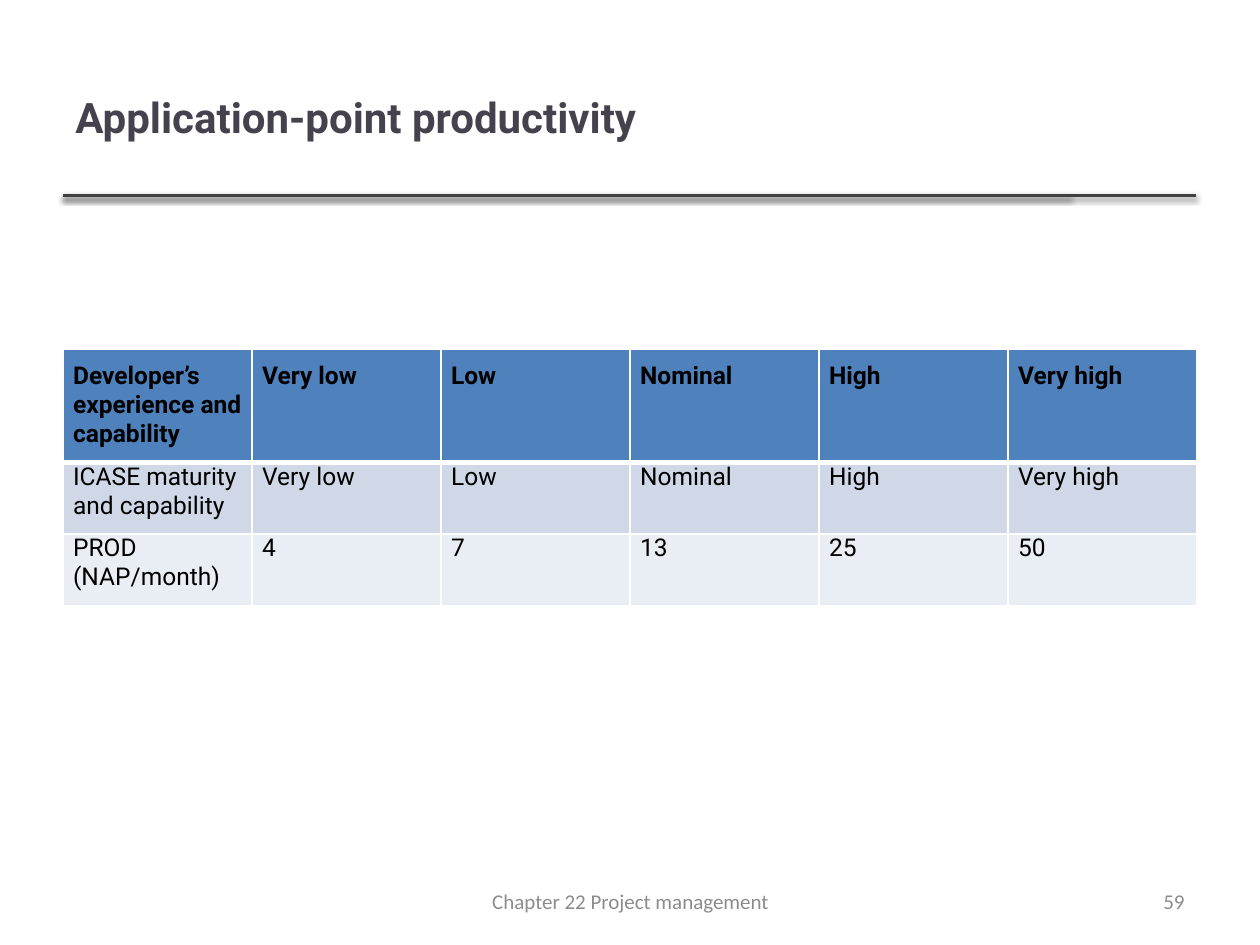
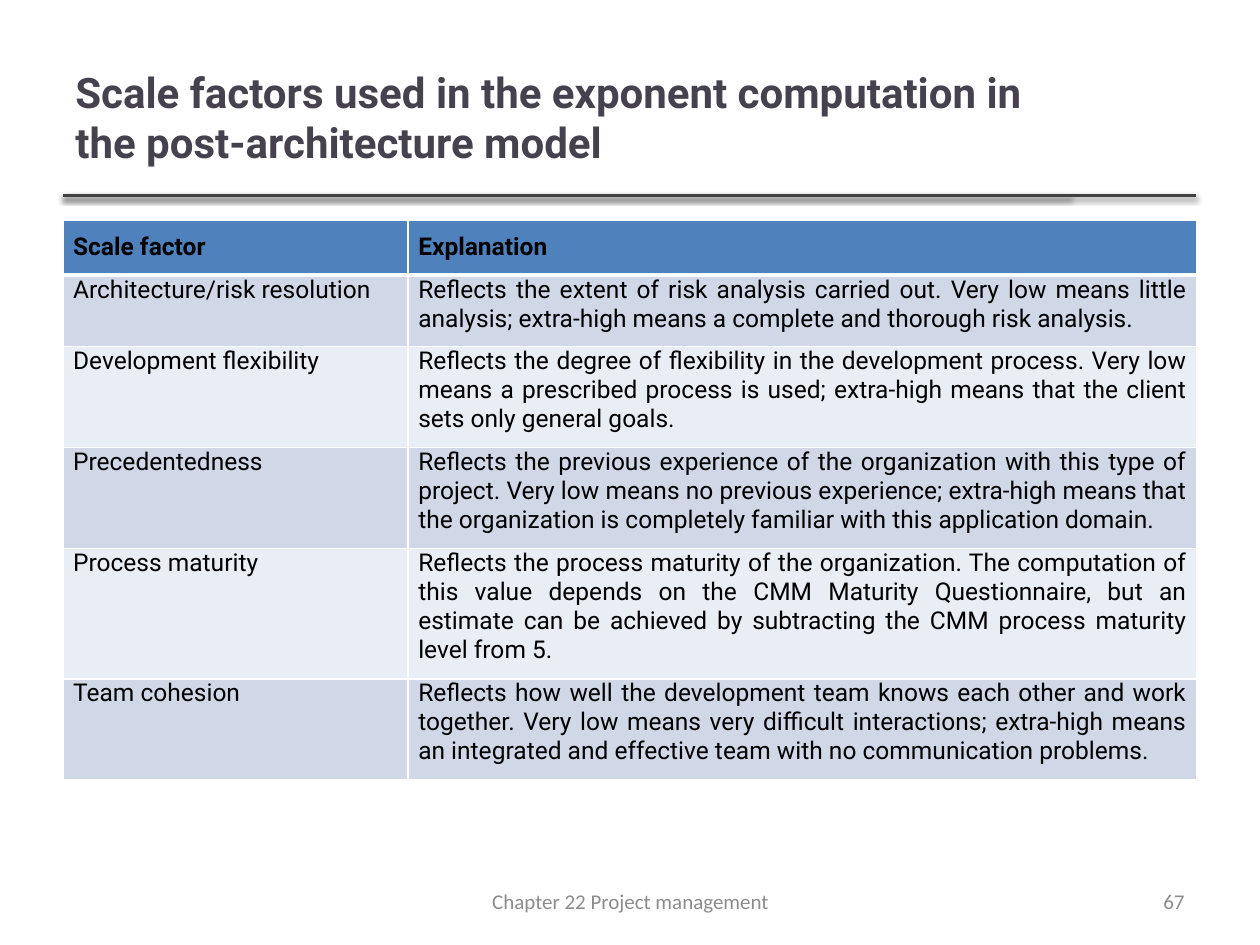
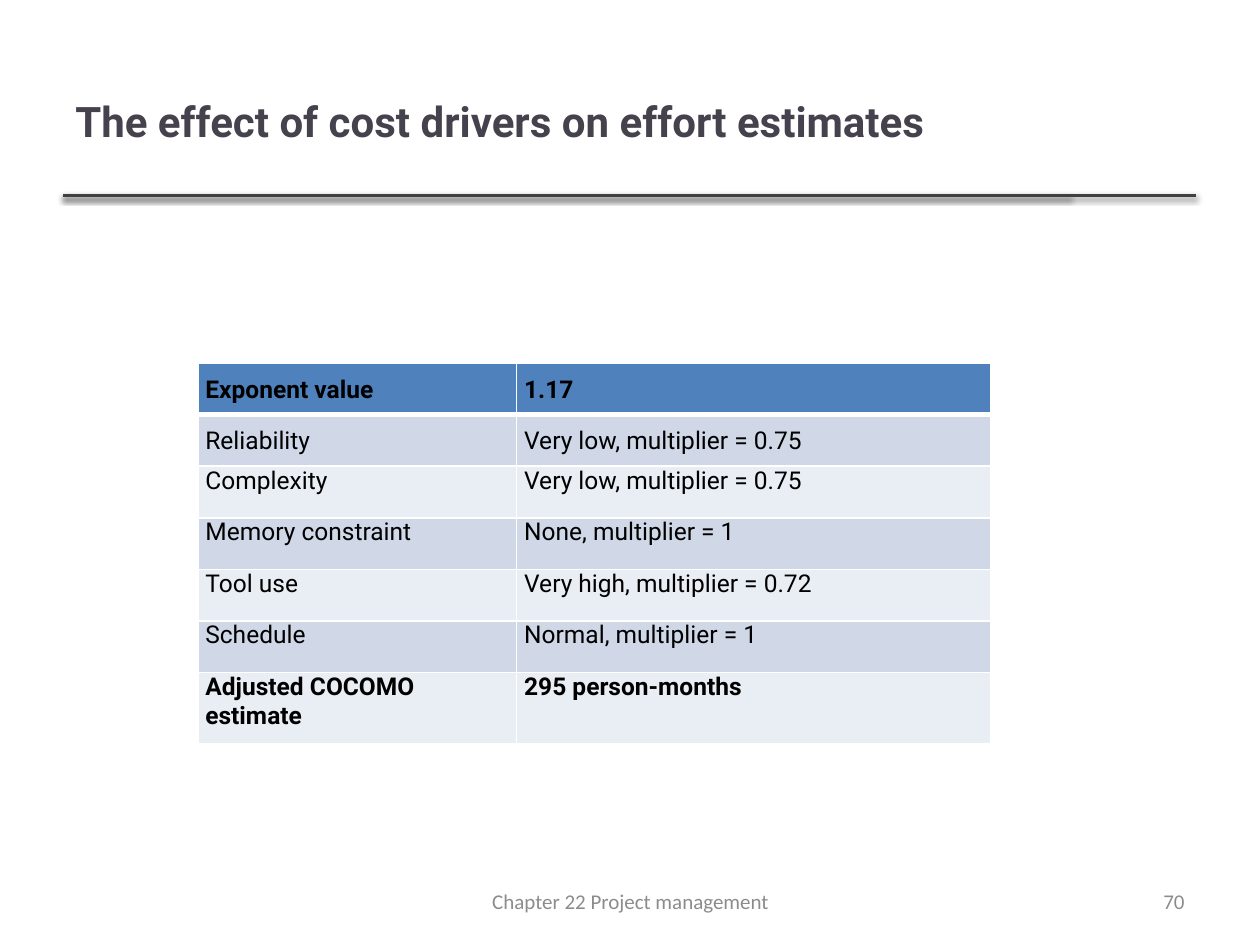
"""Build three project management slides, each with a titled table."""
import lxml.etree
import pptx
import pptx.dml.color
import pptx.enum.shapes
import pptx.enum.text
import pptx.oxml
import pptx.oxml.ns
import pptx.util

RGBColor = pptx.dml.color.RGBColor
Align = pptx.enum.text.PP_ALIGN
Anchor = pptx.enum.text.MSO_ANCHOR

TITLE_INK = RGBColor(0x46, 0x42, 0x4D)
RULE_INK = RGBColor(0x40, 0x40, 0x40)
FOOTER_INK = RGBColor(0x8C, 0x8C, 0x8C)
BLACK = RGBColor(0x00, 0x00, 0x00)
WHITE = RGBColor(0xFF, 0xFF, 0xFF)
HEADER_FILL = RGBColor(0x4F, 0x81, 0xBD)
ODD_FILL = RGBColor(0xD0, 0xD8, 0xE8)
EVEN_FILL = RGBColor(0xE9, 0xED, 0xF4)

COLUMNS, ROWS = 100, 75
LEFT, RIGHT = 5, 95
RULE_ROW = 15.5
FOOTER_ROW, FOOTER_HEIGHT = 69.5, 4
MINIMUM_ROW = 4.1
DRAWING = pptx.oxml.ns.nsdecls("a")
SHADOW = (
    f'<a:effectLst {DRAWING}><a:outerShdw blurRad="40000" dist="20000" dir="5400000" '
    'rotWithShape="0"><a:srgbClr val="000000"><a:alpha val="38000"/></a:srgbClr>'
    '</a:outerShdw></a:effectLst>'
)


class SlideBuilder:
    def __init__(self):
        self.deck = pptx.Presentation()
        self.deck.slide_width = pptx.util.Inches(10)
        self.deck.slide_height = pptx.util.Inches(7.5)
        self.slide = None

    def x(self, columns):
        return round(self.deck.slide_width * columns / COLUMNS)

    def y(self, rows):
        return round(self.deck.slide_height * rows / ROWS)

    def area(self, left, top, width, height):
        return self.x(left), self.y(top), self.x(width), self.y(height)

    def start(self, title, number, title_area=(LEFT, 3, 79.8, 12.5)):
        self.slide = self.deck.slides.add_slide(self.deck.slide_layouts[6])
        for end in (84.9, 94.9):
            self.rule(end)
        self.text(title_area, title, "Roboto", 24, TITLE_INK, bold=True)
        self.footer((34.2, 31.7), "Chapter 22 Project management", Align.CENTER)
        self.footer((71.7, 23.3), str(number), Align.RIGHT)

    def rule(self, end):
        rule = self.slide.shapes.add_connector(
            pptx.enum.shapes.MSO_CONNECTOR.STRAIGHT,
            self.x(LEFT), self.y(RULE_ROW), self.x(end), self.y(RULE_ROW))
        rule.line.color.rgb = RULE_INK
        rule.line.width = pptx.util.Pt(2)
        rule._element.spPr.append(lxml.etree.fromstring(SHADOW))

    def footer(self, span, words, align):
        left, width = span
        self.text((left, FOOTER_ROW, width, FOOTER_HEIGHT), words,
                  "Calibri", 12, FOOTER_INK, align=align)

    def text(self, area, words, font, size, color, bold=False, align=Align.LEFT):
        frame = self.slide.shapes.add_textbox(*self.area(*area)).text_frame
        frame.word_wrap = True
        frame.vertical_anchor = Anchor.MIDDLE
        self.set_words(frame, words, font, size, color, bold, align)

    def set_words(self, frame, words, font, size, color, bold, align):
        frame.text = words
        para = frame.paragraphs[0]
        para.alignment = align
        span = para.runs[0].font
        span.name, span.size, span.bold = font, pptx.util.Pt(size), bold
        span.color.rgb = color
        return para

    def table(self, area, widths, rows, label_align=Align.LEFT, side=0.8,
              bold=(0,), top_padded=(0,), bottom_padded=None, space_after=0):
        frame = self.slide.shapes.add_table(len(rows), len(widths), *self.area(*area))
        table = frame.table
        table.horz_banding = False
        for column, width in zip(table.columns, widths):
            column.width = self.x(width)
        for index, words in enumerate(rows):
            table.rows[index].height = self.y(MINIMUM_ROW)
            for position, (cell, value) in enumerate(zip(table.rows[index].cells, words)):
                cell.margin_left = cell.margin_right = self.x(side)
                cell.margin_top = self.y(index in top_padded)
                cell.margin_bottom = self.y(bottom_padded is None or index in bottom_padded)
                align = Align.JUSTIFY if position else label_align
                para = self.set_words(cell.text_frame, value, "Roboto", 14, BLACK,
                                      index in bold, align)
                para.space_after = pptx.util.Pt(space_after)
                self.borders(cell, top=3 if index == 1 else 1, bottom=1 if index else 3)
                cell.fill.solid()
                body = ODD_FILL if index % 2 else EVEN_FILL
                cell.fill.fore_color.rgb = body if index else HEADER_FILL
        frame.height = self.y(area[3])

    def borders(self, cell, top, bottom):
        properties = cell._tc.get_or_add_tcPr()
        for edge, points in zip("LRTB", (1, 1, top, bottom)):
            properties.append(pptx.oxml.parse_xml(
                f'<a:ln{edge} {DRAWING} w="{pptx.util.Pt(points)}"><a:solidFill>'
                f'<a:srgbClr val="{WHITE}"/></a:solidFill></a:ln{edge}>'))


def main():
    builder = SlideBuilder()
    full_width = RIGHT - LEFT

    levels = ["Very low", "Low", "Nominal", "High", "Very high"]
    builder.start("Application-point productivity", 59)
    builder.table((LEFT, 27.7, full_width, 20.3), [full_width / 6] * 6, [
        ["Developer’s experience and capability", *levels],
        ["ICASE maturity and capability", *levels],
        ["PROD (NAP/month)", "4", "7", "13", "25", "50"],
    ])

    builder.start("Scale factors used in the exponent computation in "
                  "the post-architecture model", 67)
    builder.table((LEFT, 17.5, full_width, 42), [27.4, 62.6], [
        ["Scale factor", "Explanation"],
        ["Architecture/risk resolution",
         "Reflects the extent of risk analysis carried out. Very low means little "
         "analysis; extra-high means a complete and thorough risk analysis."],
        ["Development flexibility",
         "Reflects the degree of flexibility in the development process. Very low "
         "means a prescribed process is used; extra-high means that the client "
         "sets only general goals."],
        ["Precedentedness",
         "Reflects the previous experience of the organization with this type of "
         "project. Very low means no previous experience; extra-high means that "
         "the organization is completely familiar with this application domain."],
        ["Process maturity",
         "Reflects the process maturity of the organization. The computation of "
         "this value depends on the CMM Maturity Questionnaire, but an estimate "
         "can be achieved by subtracting the CMM process maturity level from 5."],
        ["Team cohesion",
         "Reflects how well the development team knows each other and work "
         "together. Very low means very difficult interactions; extra-high means "
         "an integrated and effective team with no communication problems."],
    ], label_align=Align.JUSTIFY)

    builder.start("The effect of cost drivers on effort estimates", 70,
                  title_area=(LEFT, 3.4, 79.6, 12.3))
    builder.table((15.7, 28.8, 62.9, 28.4), [25.3, 37.6], [
        ["Exponent value", "1.17"],
        ["Reliability", "Very low, multiplier = 0.75"],
        ["Complexity", "Very low, multiplier = 0.75"],
        ["Memory constraint", "None, multiplier = 1"],
        ["Tool use", "Very high, multiplier = 0.72"],
        ["Schedule", "Normal, multiplier = 1"],
        ["Adjusted COCOMO estimate", "295 person-months"],
    ], side=0.6, bold=(0, 6), top_padded=(0, 1), bottom_padded=(6,), space_after=3)

    builder.deck.save("out.pptx")


if __name__ == "__main__":
    main()
